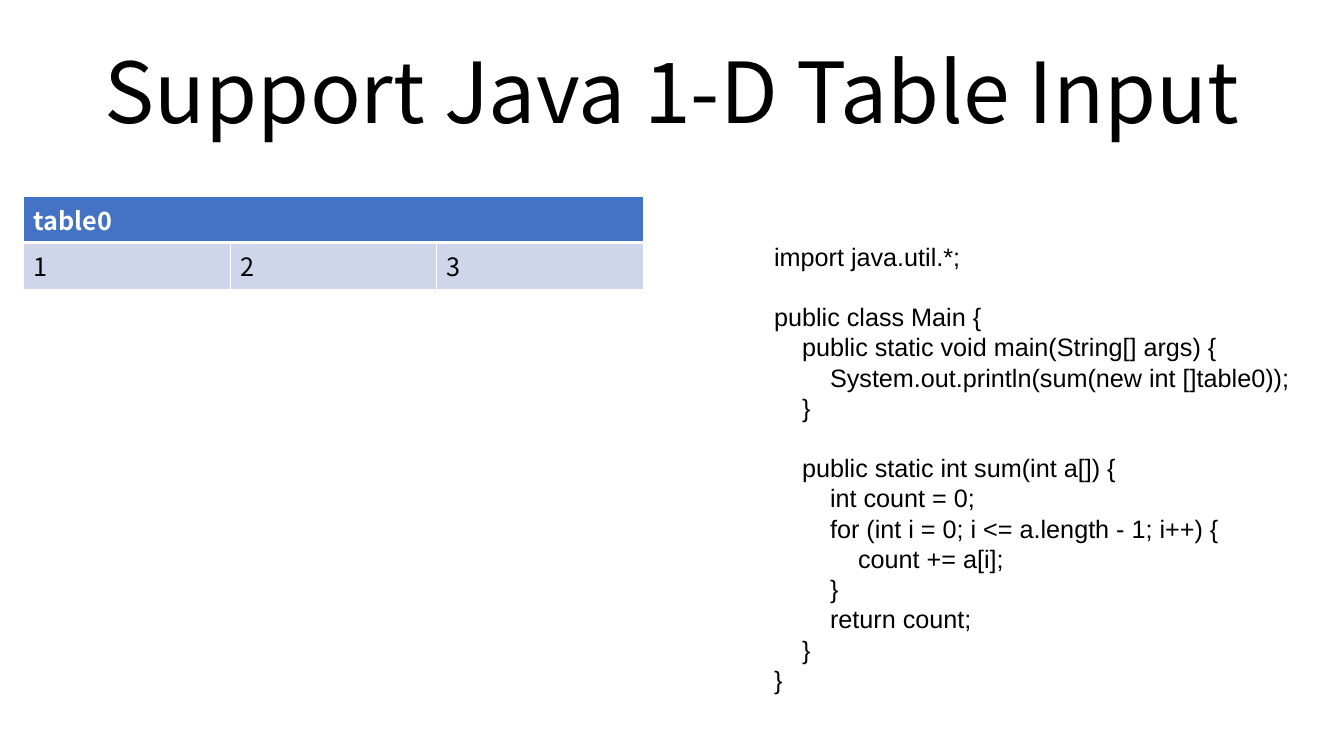
import pptx
import pptx.dml.color
import pptx.enum.text
import pptx.oxml
import pptx.oxml.ns
import pptx.util

Pt = pptx.util.Pt
SANS = "Noto Sans CJK SC"
PITCH = 21.6  # height of a code line
STEP = 20  # width of one code indent
# Each code line: indent level, blank lines above, text
CODE = [
    (0, 0, "import java.util.*;"),
    (0, 1, "public class Main {"),
    (1, 0, "public static void main(String[] args) {"),
    (2, 0, "System.out.println(sum(new int []table0));"),
    (1, 0, "}"),
    (1, 1, "public static int sum(int a[]) {"),
    (2, 0, "int count = 0;"),
    (2, 0, "for (int i = 0; i <= a.length - 1; i++) {"),
    (3, 0, "count += a[i];"),
    (2, 0, "}"),
    (2, 0, "return count;"),
    (1, 0, "}"),
    (0, 0, "}"),
]


def color(code):
    """Turn a hex string into a colour."""
    return pptx.dml.color.RGBColor.from_string(code)


def write(para, text, font=SANS, size=18, ink="000000", bold=False,
          align=None, lead=None, above=0, left=0):
    """Put formatted text into a paragraph."""
    run = para.add_run()
    run.text = text
    run.font.name = font
    run.font.size = Pt(size)
    run.font.bold = bold
    run.font.color.rgb = color(ink)
    para.alignment = align
    para.line_spacing = lead
    para.space_before = Pt(above)
    if left:
        para._p.get_or_add_pPr().set("marL", str(Pt(left)))


def edge(cell, side, width):
    """Draw one white border of a cell."""
    space = pptx.oxml.ns.nsdecls("a")
    line = pptx.oxml.parse_xml(
        f'<a:ln{side} {space} w="{Pt(width)}"><a:solidFill>'
        f'<a:srgbClr val="FFFFFF"/></a:solidFill></a:ln{side}>')
    cell._tc.get_or_add_tcPr().append(line)


def add_title(slide, text):
    """Place and fill the title."""
    title = slide.shapes.title
    title.left, title.top = Pt(66), Pt(1)
    title.width, title.height = Pt(828), Pt(104)
    frame = title.text_frame
    frame.auto_size = pptx.enum.text.MSO_AUTO_SIZE.NONE
    frame.vertical_anchor = pptx.enum.text.MSO_ANCHOR.BOTTOM
    write(frame.paragraphs[0], text, size=60, lead=0.9,
          align=pptx.enum.text.PP_ALIGN.CENTER)


def add_grid(slide, head, items):
    """Add a table with a merged head above one row of items."""
    count = len(items)
    grid = slide.shapes.add_table(
        2, count, Pt(16.8), Pt(140), Pt(442.8), Pt(58.4)).table
    grid.horz_banding = False
    rows = [[head] + [""] * (count - 1), items]
    for row, texts in enumerate(rows):
        for col, text in enumerate(texts):
            cell = grid.cell(row, col)
            top = row == 0
            for side, width in zip("LRTB", (1, 1, 1, 3) if top else (1, 1, 3, 1)):
                edge(cell, side, width)
            cell.fill.solid()
            cell.fill.fore_color.rgb = color("4472C4" if top else "CFD5EA")
            if text:
                write(cell.text_frame.paragraphs[0], text, bold=top,
                      ink="FFFFFF" if top else "000000")
    grid.cell(0, 0).merge(grid.cell(0, count - 1))


def add_code(slide, lines):
    """Add a text box of indented code lines."""
    box = slide.shapes.add_textbox(Pt(545.8), Pt(168.5), Pt(397.4), Pt(334))
    frame = box.text_frame
    frame.word_wrap = True
    for index, (level, blank, text) in enumerate(lines):
        para = frame.add_paragraph() if index else frame.paragraphs[0]
        write(para, text, font="Arial", lead=Pt(PITCH),
              above=blank * PITCH, left=level * STEP)


def main():
    """Build and save the slide."""
    deck = pptx.Presentation()
    deck.slide_width, deck.slide_height = Pt(960), Pt(540)
    slide = deck.slides.add_slide(deck.slide_layouts[5])
    add_grid(slide, "table0", ["1", "2", "3"])
    add_code(slide, CODE)
    add_title(slide, "Support Java 1-D Table Input")
    deck.save("out.pptx")


main()
